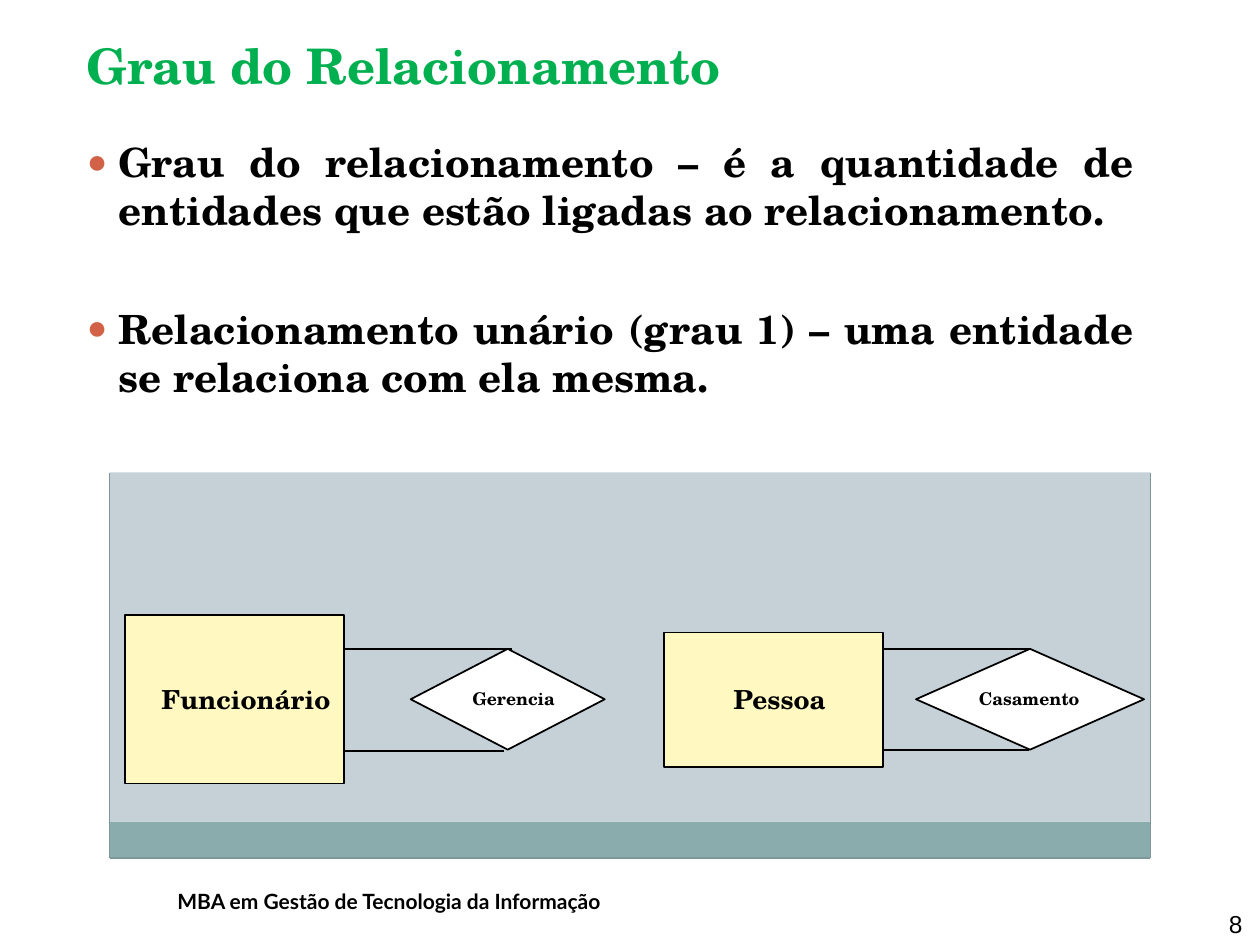
from lxml import etree
from pptx import Presentation
from pptx.dml.color import RGBColor
from pptx.enum.shapes import MSO_CONNECTOR, MSO_SHAPE
from pptx.enum.text import MSO_ANCHOR, PP_ALIGN
from pptx.oxml.ns import qn
from pptx.util import Inches, Pt

RECT, DIAMOND = MSO_SHAPE.RECTANGLE, MSO_SHAPE.DIAMOND
LINE = MSO_CONNECTOR.STRAIGHT
LEFT, MID, RIGHT, JUST = PP_ALIGN.LEFT, PP_ALIGN.CENTER, PP_ALIGN.RIGHT, PP_ALIGN.JUSTIFY
TOP, CENTER, BOTTOM = MSO_ANCHOR.TOP, MSO_ANCHOR.MIDDLE, MSO_ANCHOR.BOTTOM

SERIF = "TeX Gyre Schola"
THEME = {
    "ink": "000000", "white": "FFFFFF", "cream": "FFF8C1", "panel": "C5D1D7",
    "band": "8BACAD", "edge": "7B9798", "dot": "D16248",
    "title": {"name": SERIF, "size": Pt(28), "bold": True, "color": "00B050"},
    "body": {"name": SERIF, "size": Pt(23), "bold": True, "color": "000000"},
    "entity": {"name": SERIF, "size": Pt(15), "bold": True, "color": "000000"},
    "link": {"name": SERIF, "size": Pt(10), "bold": True, "color": "000000"},
    "footer": {"name": "Lato", "size": Pt(12), "bold": True, "color": "000000"},
    "page": {"name": "Arial", "size": Pt(14), "bold": False, "color": "000000"},
}

deck = Presentation()
deck.slide_width, deck.slide_height = Inches(10), Inches(7.5)
slide = deck.slides.add_slide(deck.slide_layouts[6])
shapes = slide.shapes


def write(box, lines, style, align=LEFT, anchor=TOP, pads=(0, 0.01, 0, 0), wrap=True):
    frame = shapes.add_textbox(*map(Inches, box)).text_frame
    left, top, right, low = map(Inches, pads)
    form = {"word_wrap": wrap, "vertical_anchor": anchor, "margin_left": left,
            "margin_top": top, "margin_right": right, "margin_bottom": low}
    for key, value in form.items():
        setattr(frame, key, value)
    for i, line in enumerate(lines):
        para = frame.paragraphs[0] if i == 0 else frame.add_paragraph()
        para.alignment = align
        run = para.add_run()
        run.text = line
        for key, value in THEME[style].items():
            if key == "color":
                run.font.color.rgb = RGBColor.from_string(value)
            else:
                setattr(run.font, key, value)
    return frame


def draw(kind, box, fill=None, edge=None, width=1):
    if kind is LINE:
        item = shapes.add_connector(kind, *map(Inches, box))
    else:
        item = shapes.add_shape(kind, *map(Inches, box))
        item.shadow.inherit = False
        item.fill.solid()
        item.fill.fore_color.rgb = RGBColor.from_string(THEME[fill])
    if edge:
        item.line.color.rgb = RGBColor.from_string(THEME[edge])
        item.line.width = Pt(width)
    else:
        item.line.fill.background()
    if kind is LINE:
        etree.SubElement(item._element.spPr, qn("a:effectLst"))


write((1.31, 7, 3.97, 0.3), ["MBA em Gestão de Tecnologia da Informação"], "footer",
      anchor=CENTER, pads=(0.1, 0.05, 0.1, 0.05), wrap=False)
write((0.68, 0.27, 5.05, 0.49), ["Grau do Relacionamento"], "title", MID)

draw(RECT, (0.87, 3.75, 8.26, 2.77), "panel")
draw(RECT, (0.87, 6.52, 8.26, 0.29), "band")
for ends in ((0.87, 3.75, 0.87, 6.81), (0.87, 6.81, 9.13, 6.81), (9.13, 3.75, 9.13, 6.81)):
    draw(LINE, ends, edge="edge")

body = write((0.67, 1.08, 8.34, 2.1), [
    "Grau do relacionamento – é a quantidade de entidades que estão ligadas ao relacionamento.",
    "Relacionamento unário (grau 1) – uma entidade se relaciona com ela mesma.",
], "body", JUST)
body.paragraphs[1].space_before = Pt(40)
for para in body.paragraphs:
    props = para._p.get_or_add_pPr()
    props.set("marL", str(Inches(0.27)))
    props.set("indent", str(Inches(-0.25)))
    color = etree.SubElement(props, qn("a:buClr"))
    etree.SubElement(color, qn("a:srgbClr"), val=THEME["dot"])
    etree.SubElement(props, qn("a:buSzPct"), val="85000")
    etree.SubElement(props, qn("a:buFont"), typeface="Arial")
    etree.SubElement(props, qn("a:buChar"), char="●")

GROUPS = [
    ("Funcionário", (0.99, 4.88, 1.74, 1.34), 0.29,
     "Gerencia", (3.26, 5.15, 1.54, 0.8), 3.74, ((5.15, 4.06, 1.19), (5.96, 4, 1.19))),
    ("Pessoa", (5.27, 5.02, 1.74, 1.07), 0.55,
     "Casamento", (7.27, 5.15, 1.81, 0.8), 7.76, ((5.15, 8.17, 0.96), (5.95, 8.17, 1.08))),
]
for name, box, inset, verb, gem, start, ties in GROUPS:
    draw(RECT, box, "cream", "ink")
    write((box[0], 5.41, box[2], 0.26), [name], "entity", pads=(inset, 0.01, 0, 0))
    draw(DIAMOND, gem, "white", "ink")
    write((start, 5.45, 0.9, 0.18), [verb], "link", pads=(0.01, 0.01, 0, 0))
    for y, end, width in ties:
        draw(LINE, (box[0] + box[2], y, end, y), edge="ink", width=width)

write((9.45, 7.19, 0.51, 0.31), ["8"], "page", RIGHT, BOTTOM, (0.1, 0.05, 0.1, 0.05))

deck.save("out.pptx")
